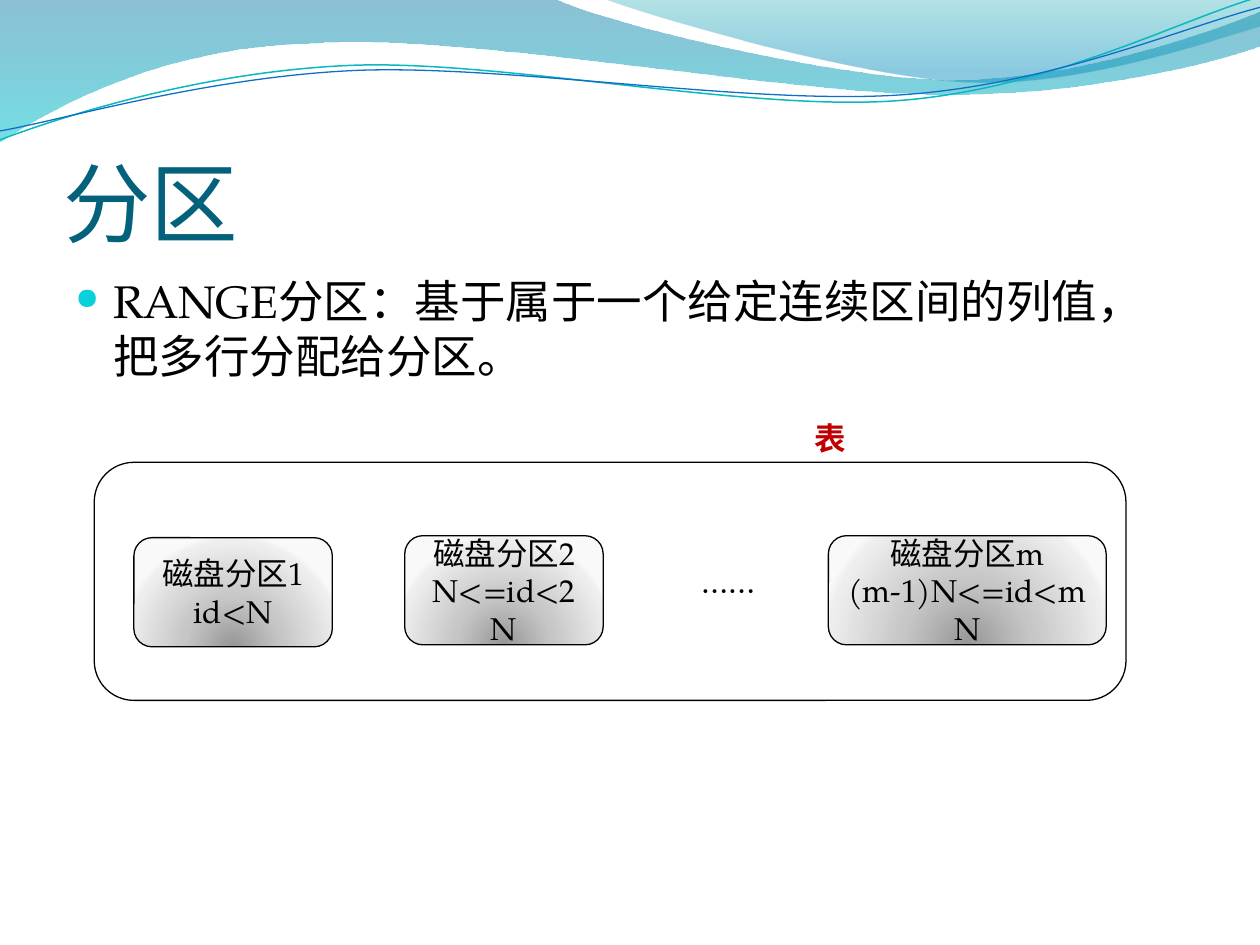
from dataclasses import dataclass

from lxml import etree
from pptx import Presentation
from pptx.dml.color import RGBColor
from pptx.enum.shapes import MSO_SHAPE
from pptx.enum.text import MSO_ANCHOR, PP_ALIGN
from pptx.oxml.ns import qn
from pptx.util import Cm, Pt

ROUNDED = MSO_SHAPE.ROUNDED_RECTANGLE
TOP, MIDDLE, BOTTOM = MSO_ANCHOR.TOP, MSO_ANCHOR.MIDDLE, MSO_ANCHOR.BOTTOM
LEFT, CENTER = PP_ALIGN.LEFT, PP_ALIGN.CENTER
SERIF, SANS = "TeX Gyre Pagella", "Calibri"
COLORS = {
    "title": "04617B", "text": "000000", "label": "C00000", "bullet": "0BD0D9",
    "teal": "0AB8BF", "blue": "0F6FC6",
    "wave_top": "0074A1", "wave_bottom": "00C6CF",
    "crest_top": "00A1A9", "crest_bottom": "008BBF",
    "gray": "979797", "silver": "C6C6C6", "pale": "EEEEEE", "light": "F9F9F9",
}
BOX_STOPS = [(0, "gray", 100), (43, "silver", 100), (93, "pale", 100), (100, "light", 100)]


@dataclass
class Wave:
    start: tuple
    segments: list
    stops: list | None = None
    line: str | None = None
    width: float = 0


@dataclass
class Partition:
    left: float
    top: float
    width: float
    text: str


@dataclass
class Label:
    box: tuple
    text: str
    size: int = 18
    color: str = "text"
    font: str = SERIF
    bold: bool = False
    anchor: MSO_ANCHOR = TOP


WAVES = [
    Wave((0, 0), [
        (11.18, -0.03),
        (12.09, 0.43, 16.87, 1.6, 19.25, 1.6),
        (21.67, 1.6, 24.33, 0.66, 25.4, 0.23),
        (25.43, 0.91),
        (24.97, 1.12, 22.1, 1.93, 18.95, 1.9),
        (15.8, 1.9, 9.7, 0.71, 6.53, 0.86),
        (3.28, 0.91, 1.17, 2.11, -0.03, 2.87),
    ], stops=[(0, "wave_top", 45), (100, "wave_bottom", 55)]),
    Wave((12.17, -0.03), [
        (12.93, 0.28, 17.32, 1.57, 19.53, 1.65),
        (21.74, 1.75, 24.41, 0.81, 25.4, 0.53),
        (25.4, 0),
    ], stops=[(0, "crest_top", 30), (80, "crest_bottom", 45)]),
    Wave((0, 2.82), [
        (1.22, 2.36, 4.01, 1.45, 7.04, 1.32),
        (10.03, 1.19, 15.06, 2.26, 18.11, 2.03),
        (21.16, 1.8, 23.83, 0.38, 25.35, -0.05),
    ], line="teal", width=0.85),
    Wave((0, 2.64), [
        (1.19, 2.44, 4.17, 1.55, 7.19, 1.42),
        (10.24, 1.3, 15.16, 2.13, 18.21, 1.91),
        (21.23, 1.7, 23.9, 0.53, 25.4, 0.15),
    ], line="blue", width=0.75),
]
PARTITIONS = [
    Partition(2.7, 10.84, 4, "磁盘分区1\nid<N"),
    Partition(8.16, 10.8, 4, "磁盘分区2\nN<=id<2N"),
    Partition(16.7, 10.8, 5.6, "磁盘分区m\n(m-1)N<=id<mN"),
]
TITLE = Label((1.28, 1.95, 22.86, 3.18), "分区", 50, "title", SANS, anchor=BOTTOM)
BODY = Label((1.27, 5.38, 22.86, 12.19),
             "RANGE分区：基于属于一个给定连续区间的列值，把多行分配给分区。", 26)
ELLIPSIS = Label((13.89, 11.2, 2.31, 1.02), "……")
TABLE_NAME = Label((16.17, 8.33, 2.79, 1.02), "表", color="label", bold=True)


def rgb(name: str) -> RGBColor:
    return RGBColor.from_string(COLORS[name])


def add_node(parent, tag: str, **attrs):
    return etree.SubElement(parent, qn(tag), {k: str(v) for k, v in attrs.items()})


def set_gradient(sp, stops: list, radial: bool = False) -> None:
    sp.fill.background()
    empty = sp._element.spPr.find(qn("a:noFill"))
    grad = etree.Element(qn("a:gradFill"), rotWithShape="1")
    gs_list = add_node(grad, "a:gsLst")
    for pos, color, alpha in stops:
        gs = add_node(gs_list, "a:gs", pos=pos * 1000)
        clr = add_node(gs, "a:srgbClr", val=COLORS[color])
        if alpha < 100:
            add_node(clr, "a:alpha", val=alpha * 1000)
    if radial:
        focus = add_node(grad, "a:path", path="circle")
        add_node(focus, "a:fillToRect", l=50000, t=130000, r=50000, b=-30000)
    else:
        add_node(grad, "a:lin", ang=5400000, scaled=1)
    empty.getparent().replace(empty, grad)


def bend_segments(sp, segments: list) -> None:
    nodes = iter(list(sp._element.iter(qn("a:lnTo"))))
    for seg in segments:
        node = next(nodes)
        if len(seg) == 2:
            continue
        curve = etree.Element(qn("a:cubicBezTo"))
        node.addprevious(curve)
        for step in (node, next(nodes), next(nodes)):
            curve.append(step[0])
            step.getparent().remove(step)


def draw_wave(s, wave: Wave) -> None:
    points = [(Cm(seg[i]), Cm(seg[i + 1]))
              for seg in wave.segments for i in range(0, len(seg), 2)]
    builder = s.shapes.build_freeform(*map(Cm, wave.start))
    builder.add_line_segments(points, close=wave.stops is not None)
    sp = builder.convert_to_shape()
    bend_segments(sp, wave.segments)
    sp.shadow.inherit = False
    if wave.stops:
        set_gradient(sp, wave.stops)
        sp.line.fill.background()
    else:
        sp.fill.background()
        sp.line.color.rgb = rgb(wave.line)
        sp.line.width = Pt(wave.width)


def format_text(tf, label: Label, align: PP_ALIGN) -> None:
    tf.text = label.text
    tf.word_wrap = True
    tf.vertical_anchor = label.anchor
    for p in tf.paragraphs:
        p.alignment = align
        for r in p.runs:
            r.font.size = Pt(label.size)
            r.font.name = label.font
            r.font.bold = label.bold
            r.font.color.rgb = rgb(label.color)


def draw_label(s, label: Label):
    tf = s.shapes.add_textbox(*map(Cm, label.box)).text_frame
    format_text(tf, label, LEFT)
    return tf


def set_bullet(p) -> None:
    pPr = p._p.get_or_add_pPr()
    pPr.set("marL", str(Cm(0.76)))
    pPr.set("indent", str(-Cm(0.76)))
    add_node(add_node(pPr, "a:spcBef"), "a:spcPct", val=20000)
    add_node(add_node(pPr, "a:buClr"), "a:srgbClr", val=COLORS["bullet"])
    add_node(pPr, "a:buSzPct", val=66000)
    add_node(pPr, "a:buChar", char="●")


def draw_box(s, left: float, top: float, width: float, height: float):
    sp = s.shapes.add_shape(ROUNDED, Cm(left), Cm(top), Cm(width), Cm(height))
    sp.shadow.inherit = False
    sp.fill.background()
    sp.line.color.rgb = rgb("text")
    sp.line.width = Pt(0.75)
    return sp


def draw_partition(s, part: Partition) -> None:
    box = (part.left, part.top, part.width, 2.2)
    sp = draw_box(s, *box)
    set_gradient(sp, BOX_STOPS, radial=True)
    format_text(sp.text_frame, Label(box, part.text, anchor=MIDDLE), CENTER)


def main() -> None:
    prs = Presentation()
    prs.slide_width, prs.slide_height = Cm(25.4), Cm(19.05)
    s = prs.slides.add_slide(prs.slide_layouts[6])
    for wave in WAVES:
        draw_wave(s, wave)
    tf = draw_label(s, TITLE)
    tf.margin_left = tf.margin_right = tf.margin_bottom = 0
    set_bullet(draw_label(s, BODY).paragraphs[0])
    for part in PARTITIONS:
        draw_partition(s, part)
    draw_label(s, ELLIPSIS)
    draw_box(s, 1.9, 9.32, 20.8, 4.8)
    draw_label(s, TABLE_NAME)
    prs.save("out.pptx")


if __name__ == "__main__":
    main()
